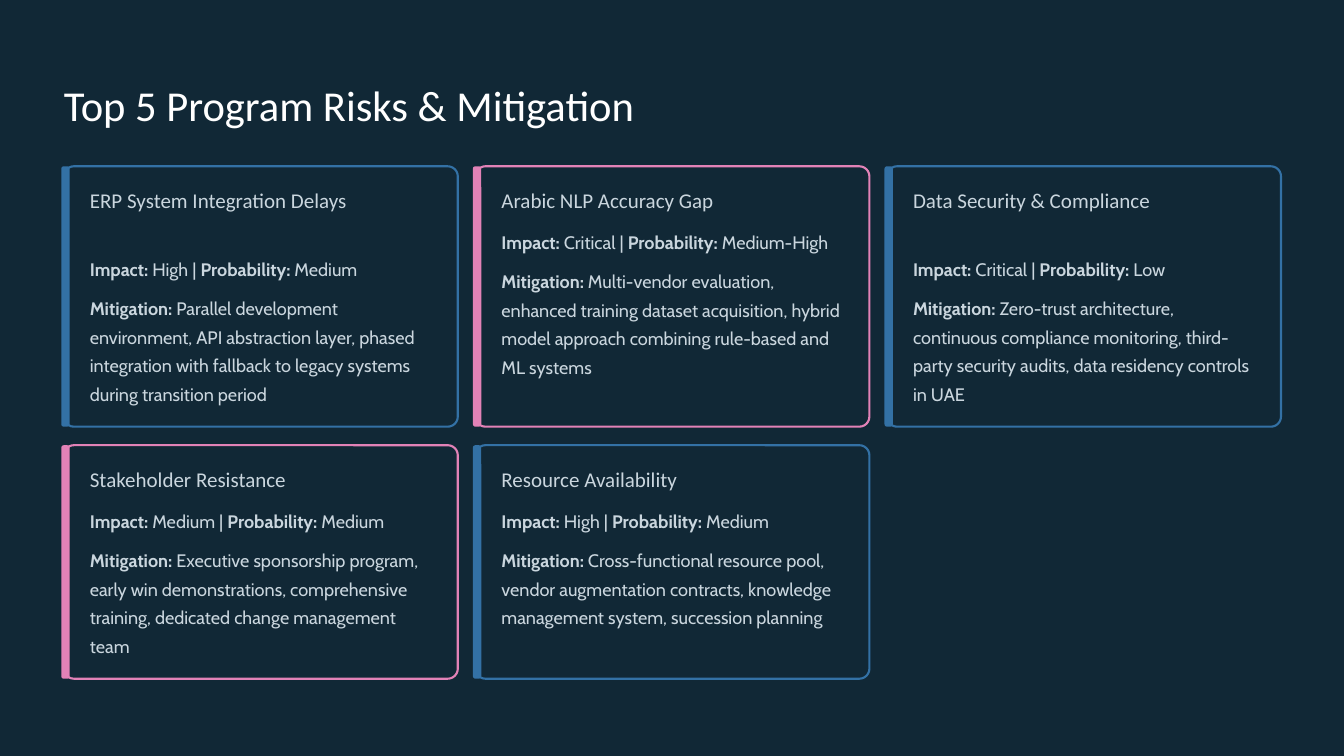
"""Build the slide of the top five program risks and their mitigation."""
import pptx
import pptx.dml.color
import pptx.enum.shapes
import pptx.enum.text
import pptx.util
from pptx.util import Inches, Pt

TITLE = "Top 5 Program Risks & Mitigation"
NAVY, BLUE, PINK, PALE, WHITE = "112836", "3371A5", "E282B7", "CAD6DE", "FFFFFF"

# heading, heading lines, impact, probability, mitigation
RISKS = [
    ("ERP System Integration Delays", 2, "High", "Medium",
     "Parallel development environment, API abstraction layer, phased integration "
     "with fallback to legacy systems during transition period"),
    ("Arabic NLP Accuracy Gap", 1, "Critical", "Medium-High",
     "Multi-vendor evaluation, enhanced training dataset acquisition, hybrid model "
     "approach combining rule-based and ML systems"),
    ("Data Security & Compliance", 2, "Critical", "Low",
     "Zero-trust architecture, continuous compliance monitoring, third-party "
     "security audits, data residency controls in UAE"),
    ("Stakeholder Resistance", 1, "Medium", "Medium",
     "Executive sponsorship program, early win demonstrations, comprehensive "
     "training, dedicated change management team"),
    ("Resource Availability", 1, "High", "Medium",
     "Cross-functional resource pool, vendor augmentation contracts, knowledge "
     "management system, succession planning"),
]

COLUMNS = 3
CARD_LEFT, CARD_PITCH, CARD_WIDTH = 0.76, 4.9, 4.69
ROWS = [(1.98, 3.1), (5.3, 2.78)]
CARD_RADIUS, BAR_RADIUS = 0.12, 0.03
BAR_WIDTH, BAR_OFFSET = 0.1, -0.03
TEXT_OFFSET, TEXT_WIDTH = 0.31, 4.13
HEADING_TOP, HEADING_LINE = 0.24, 0.32
RATING_GAP, RATING_HEIGHT = 0.13, 0.35
MITIGATION_GAP, MITIGATION_HEIGHT = 0.47, 1.38


def rgb(value):
    return pptx.dml.color.RGBColor.from_string(value)


def add_rounded(slide, left, top, width, height, radius, fill, outline=None):
    shape = slide.shapes.add_shape(
        pptx.enum.shapes.MSO_SHAPE.ROUNDED_RECTANGLE,
        Inches(left), Inches(top), Inches(width), Inches(height))
    shape.adjustments[0] = radius / min(width, height)
    shape.shadow.inherit = False
    shape.fill.solid()
    shape.fill.fore_color.rgb = rgb(fill)
    if outline:
        shape.line.color.rgb = rgb(outline)
        shape.line.width = Pt(1.8)
    else:
        shape.line.fill.background()


def write(frame, runs, font, size, color, spacing):
    frame.margin_left = frame.margin_top = frame.margin_right = frame.margin_bottom = 0
    frame.word_wrap = True
    frame.auto_size = pptx.enum.text.MSO_AUTO_SIZE.NONE
    frame.vertical_anchor = pptx.enum.text.MSO_ANCHOR.TOP
    paragraph = frame.paragraphs[0]
    paragraph.alignment = pptx.enum.text.PP_ALIGN.LEFT
    paragraph.line_spacing = Pt(spacing)
    paragraph.font.name = font
    paragraph.font.size = Pt(size)
    paragraph.font.color.rgb = rgb(color)
    for text, bold in runs:
        run = paragraph.add_run()
        run.text = text
        run.font.bold = bold


def add_text(slide, left, top, height, runs, font, size, spacing):
    box = slide.shapes.add_textbox(
        Inches(left), Inches(top), Inches(TEXT_WIDTH), Inches(height))
    write(box.text_frame, runs, font, size, PALE, spacing)


def add_risk(slide, index, risk):
    heading, heading_lines, impact, probability, mitigation = risk
    row, column = divmod(index, COLUMNS)
    top, height = ROWS[row]
    left = CARD_LEFT + column * CARD_PITCH
    accent = PINK if index % 2 else BLUE
    add_rounded(slide, left, top, CARD_WIDTH, height, CARD_RADIUS, NAVY, accent)
    add_rounded(slide, left + BAR_OFFSET, top, BAR_WIDTH, height, BAR_RADIUS, accent)

    text_left = left + TEXT_OFFSET
    heading_top = top + HEADING_TOP
    heading_height = heading_lines * HEADING_LINE
    rating_top = heading_top + heading_height + RATING_GAP
    add_text(slide, text_left, heading_top, heading_height,
             [(heading, False)], "Calibri", 18, 22.5)
    add_text(slide, text_left, rating_top, RATING_HEIGHT,
             [("Impact:", True), (f" {impact} | ", False),
              ("Probability:", True), (f" {probability}", False)], "Cabin", 15.5, 24.5)
    add_text(slide, text_left, rating_top + MITIGATION_GAP, MITIGATION_HEIGHT,
             [("Mitigation:", True), (f" {mitigation}", False)], "Cabin", 15.5, 24.5)


def main():
    deck = pptx.Presentation()
    deck.slide_width, deck.slide_height = Inches(16), Inches(9)
    slide = deck.slides.add_slide(deck.slide_layouts[5])
    slide.background.fill.solid()
    slide.background.fill.fore_color.rgb = rgb(NAVY)

    title = slide.shapes.title
    title.left, title.top = Inches(CARD_LEFT), Inches(0.92)
    title.width, title.height = Inches(9.96), Inches(0.64)
    write(title.text_frame, [(TITLE, False)], "Calibri", 36.5, WHITE, 45.5)

    for index, risk in enumerate(RISKS):
        add_risk(slide, index, risk)
    deck.save("out.pptx")


if __name__ == "__main__":
    main()
